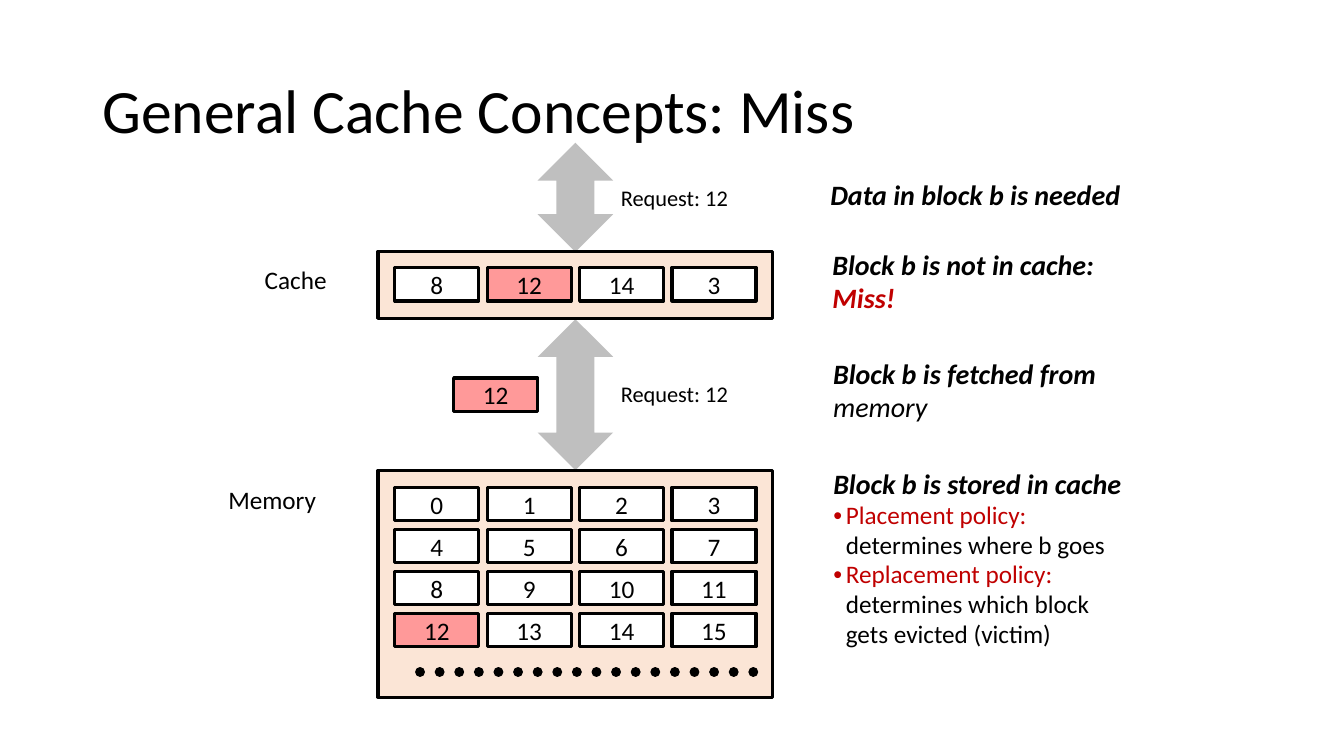
from lxml import etree
from pptx import Presentation
from pptx.dml.color import RGBColor
from pptx.enum import dml, shapes, text
from pptx.oxml.ns import qn
from pptx.util import Pt

BLACK, WHITE, GRAY, RED = "000000", "FFFFFF", "BFBFBF", "C00000"
PEACH, PINK = "FBE5D6", "FF9999"
LEFT, CENTER = text.PP_ALIGN.LEFT, text.PP_ALIGN.CENTER
COLUMN_LEFT, COLUMN_STEP, ROW_STEP = 282, 66, 30
CACHE_TOP, MEMORY_TOP = 191, 348


def write(paragraph, words, size=18, color=BLACK, bold=False, italic=False,
          align=LEFT, spacing=1.0):
    """Append words to a paragraph; a newline becomes a line break."""
    paragraph.alignment = align
    paragraph.line_spacing = spacing
    paragraph.space_before = Pt(0)
    for index, line in enumerate(words.split("\n")):
        if index:
            paragraph.add_line_break()
        run = paragraph.add_run()
        run.text = line
        font = run.font
        font.name, font.size = "Calibri", Pt(size)
        font.bold, font.italic = bold, italic
        font.color.rgb = RGBColor.from_string(color)


def add_box(kind, left, top, width, height, fill, outline=True, label=""):
    """Add a filled preset shape with an optional outline and label."""
    shape = slide.shapes.add_shape(kind, Pt(left), Pt(top), Pt(width), Pt(height))
    shape.shadow.inherit = False
    shape.fill.solid()
    shape.fill.fore_color.rgb = RGBColor.from_string(fill)
    if outline:
        shape.line.width = Pt(2.25)
        shape.line.color.rgb = RGBColor.from_string(BLACK)
    else:
        shape.line.fill.background()
    if label:
        shape.text_frame.vertical_anchor = text.MSO_ANCHOR.MIDDLE
        write(shape.text_frame.paragraphs[0], label, align=CENTER)


presentation = Presentation()
presentation.slide_width, presentation.slide_height = Pt(960), Pt(540)
slide = presentation.slides.add_slide(presentation.slide_layouts[1])

# Title
title = slide.shapes.title
title.left, title.top, title.width, title.height = Pt(66), Pt(28.8), Pt(828), Pt(104.4)
title.text_frame.vertical_anchor = text.MSO_ANCHOR.MIDDLE
write(title.text_frame.paragraphs[0], "General Cache Concepts: Miss", size=44, spacing=0.9)

# Transfer arrows, then the cache and memory panels
for top, height in [(102, 78), (228, 108)]:
    add_box(shapes.MSO_SHAPE.UP_DOWN_ARROW, 384, top, 54, height, GRAY, outline=False)
for top, height in [(179.5, 48), (336, 162)]:
    add_box(shapes.MSO_SHAPE.RECTANGLE, 270, top, 282, height, PEACH)

# Blocks: one cache row, sixteen in memory, one in transit
blocks = [(COLUMN_LEFT + column * COLUMN_STEP, CACHE_TOP, number)
          for column, number in enumerate([8, 12, 14, 3])]
blocks += [(COLUMN_LEFT + number % 4 * COLUMN_STEP,
            MEMORY_TOP + number // 4 * ROW_STEP, number) for number in range(16)]
blocks.append((324, 270, 12))
for left, top, number in blocks:
    add_box(shapes.MSO_SHAPE.RECTANGLE, left, top, 60, 24,
            PINK if number == 12 else WHITE, label=str(number))

# Dotted line for the rest of memory
dots = slide.shapes.add_connector(
    shapes.MSO_CONNECTOR.STRAIGHT, Pt(300), Pt(480), Pt(540), Pt(480))
dots.line.width = Pt(7)
dots.line.color.rgb = RGBColor.from_string(BLACK)
dots.line.dash_style = dml.MSO_LINE.ROUND_DOT
properties = dots.element.spPr
properties.find(qn("a:ln")).set("cap", "rnd")
etree.SubElement(properties, qn("a:effectLst"))

# Labels and notes: each line is its words and its format
label = {}
request = dict(size=16, align=CENTER)
note = dict(size=20, bold=True, italic=True, spacing=0.98)
captions = [
    (182, 185, 59, 29, [("Cache", label)]),
    (156, 342, 78, 29, [("Memory", label)]),
    (435, 127.5, 93.5, 26.5, [("Request: 12", request)]),
    (435, 267.5, 93.5, 26.5, [("Request: 12", request)]),
    (586, 124.5, 222.5, 31, [("Data in block b is needed", note)]),
    (587.5, 174, 202.5, 55, [("Block b is not in cache:", note),
                             ("Miss!", note | {"color": RED})]),
    (588, 252, 204, 55, [("Block b is fetched from", note),
                         ("memory", note | {"bold": False})]),
]
for left, top, width, height, lines in captions:
    frame = slide.shapes.add_textbox(Pt(left), Pt(top), Pt(width), Pt(height)).text_frame
    frame.word_wrap = False
    frame.vertical_anchor = text.MSO_ANCHOR.MIDDLE
    for index, (words, style) in enumerate(lines):
        paragraph = frame.add_paragraph() if index else frame.paragraphs[0]
        write(paragraph, words, **style)

# Storage policies
body = slide.placeholders[1]
body.left, body.top, body.width, body.height = Pt(588), Pt(330), Pt(221), Pt(138)
frame = body.text_frame
frame.auto_size = text.MSO_AUTO_SIZE.NONE
frame.word_wrap = False
frame.vertical_anchor = text.MSO_ANCHOR.MIDDLE
heading = frame.paragraphs[0]
write(heading, "Block b is stored in cache", **note)
heading_format = heading._p.get_or_add_pPr()
heading_format.set("marL", "0")
heading_format.set("indent", "0")
etree.SubElement(heading_format, qn("a:buNone"))
policies = [
    ("Placement policy:", "\ndetermines where b goes"),
    ("Replacement policy:", "\ndetermines which block\ngets evicted (victim)"),
]
for name, meaning in policies:
    paragraph = frame.add_paragraph()
    write(paragraph, name, color=RED, spacing=0.98)
    write(paragraph, meaning, spacing=0.98)
    bullet_format = paragraph._p.get_or_add_pPr()
    bullet_format.set("marL", str(Pt(9)))
    bullet_format.set("indent", str(Pt(-9)))
    etree.SubElement(bullet_format, qn("a:buChar"), char="•")

presentation.save("out.pptx")
